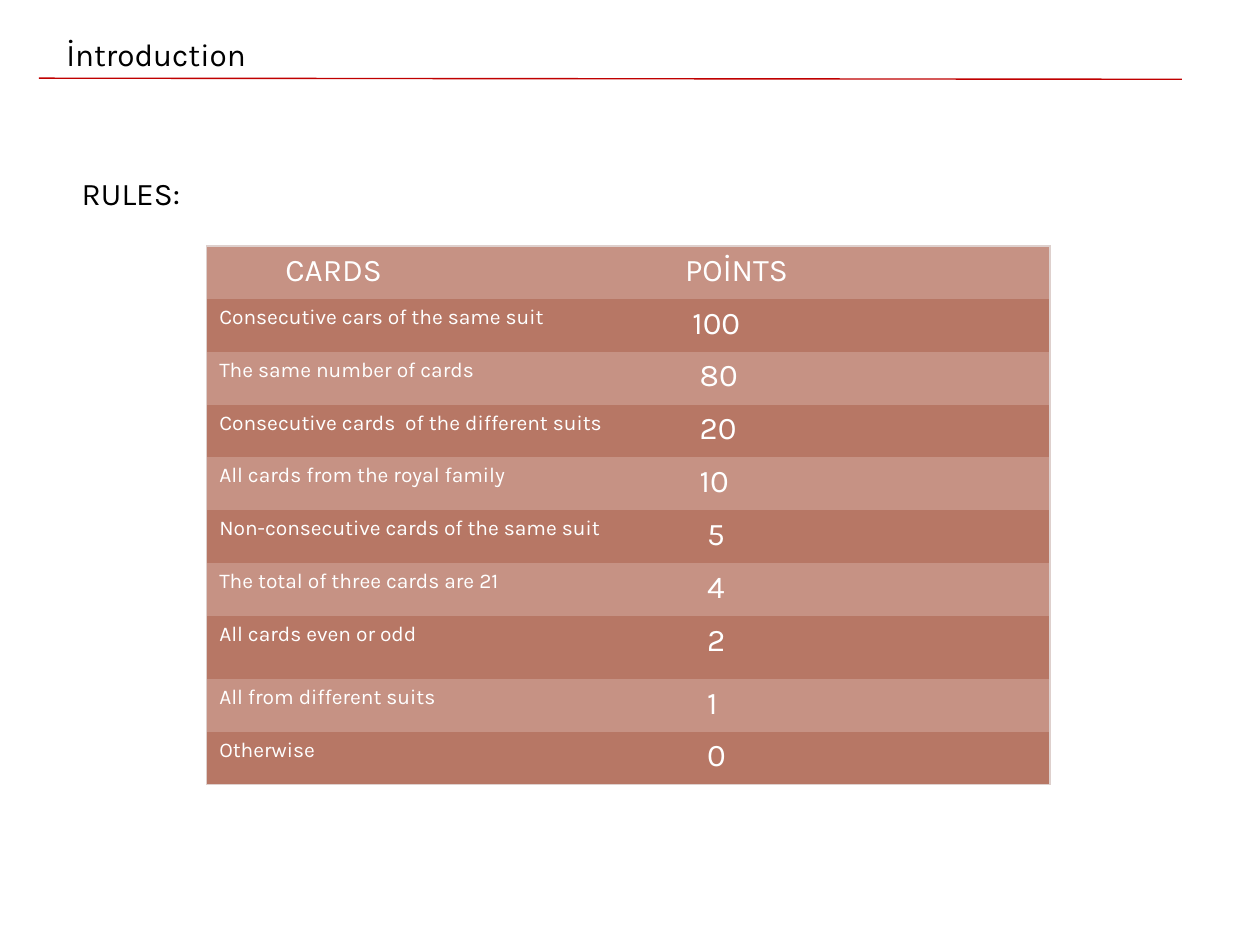
from lxml.etree import SubElement
from pptx import Presentation
from pptx.dml.color import RGBColor
from pptx.enum.shapes import MSO_CONNECTOR
from pptx.enum.text import MSO_ANCHOR, MSO_AUTO_SIZE, PP_ALIGN
from pptx.oxml.ns import qn
from pptx.util import Pt

BLACK = RGBColor(0x00, 0x00, 0x00)
WHITE = RGBColor(0xFF, 0xFF, 0xFF)
RED = RGBColor(0xC0, 0x00, 0x00)
LIGHT_CLAY = RGBColor(0xC6, 0x92, 0x84)
DARK_CLAY = RGBColor(0xB7, 0x77, 0x65)
BORDER = RGBColor(0xDE, 0xD0, 0xCD)

FONT = "Karla"
LARGE, SMALL = 18, 12
LINE_WIDTH = 0.79
INSET = 7.2
DIGIT_STEP = 4.2
ONE_DIGIT_INDENT = 45
NO_TABLE_STYLE = "{2D5ABB26-0587-4C30-8999-92F81FD0307C}"

ROW_HEIGHT, TALL_ROW_HEIGHT = 30.2, 36
TALL_ROW = 7
SCORES = [
    ("Consecutive cars of the same suit", 100),
    ("The same number of cards", 80),
    ("Consecutive cards  of the different suits", 20),
    ("All cards from the royal family", 10),
    ("Non-consecutive cards of the same suit", 5),
    ("The total of three cards are 21", 4),
    ("All cards even or odd", 2),
    ("All from different suits", 1),
    ("Otherwise", 0),
]


class SlideBuilder:
    def __init__(self, slide):
        self.slide = slide

    def set_text(self, text_frame, text, size, color):
        paragraph = text_frame.paragraphs[0]
        paragraph.text = text
        paragraph.alignment = PP_ALIGN.LEFT
        paragraph.font.name = FONT
        paragraph.font.size = Pt(size)
        paragraph.font.color.rgb = color

    def fill_box(self, shape, text, left, top, width, height, indent=INSET):
        shape.left, shape.top = Pt(left), Pt(top)
        shape.width, shape.height = Pt(width), Pt(height)
        frame = shape.text_frame
        frame.word_wrap = True
        frame.auto_size = MSO_AUTO_SIZE.NONE
        frame.vertical_anchor = MSO_ANCHOR.TOP
        frame.margin_left = Pt(indent)
        self.set_text(frame, text, LARGE, BLACK)

    def title(self, text, *box, indent):
        self.fill_box(self.slide.shapes.title, text, *box, indent=indent)

    def text(self, text, *box):
        self.fill_box(self.slide.shapes.add_textbox(0, 0, 0, 0), text, *box)

    def line(self, x1, y1, x2, y2):
        connector = self.slide.shapes.add_connector(
            MSO_CONNECTOR.STRAIGHT, Pt(x1), Pt(y1), Pt(x2), Pt(y2))
        connector.line.color.rgb = RED
        connector.line.width = Pt(LINE_WIDTH)
        SubElement(connector._element.spPr, qn("a:effectLst"))

    def cell(self, cell, text, size, indent, fill, sides):
        self.set_text(cell.text_frame, text, size, WHITE)
        cell.margin_left = Pt(indent)
        properties = cell._tc.get_or_add_tcPr()
        for side in sides:
            border = SubElement(properties, qn(f"a:ln{side}"), w=str(Pt(LINE_WIDTH)))
            solid = SubElement(border, qn("a:solidFill"))
            SubElement(solid, qn("a:srgbClr"), val=str(BORDER))
        cell.fill.solid()
        cell.fill.fore_color.rgb = fill

    def score_table(self, left, top, column_width, headings, scores):
        """Headings are (text, indent) pairs; scores are (rule, points) pairs."""
        rows = [[(text, LARGE, indent) for text, indent in headings]]
        for rule, points in scores:
            digits = str(points)
            indent = ONE_DIGIT_INDENT - DIGIT_STEP * (len(digits) - 1)
            rows.append([(rule, SMALL, INSET), (digits, LARGE, indent)])

        table = self.slide.shapes.add_table(
            len(rows), 2, Pt(left), Pt(top), Pt(2 * column_width),
            Pt(ROW_HEIGHT * len(rows))).table
        table.first_row = table.horz_banding = False
        table._tbl.tblPr.find(qn("a:tableStyleId")).text = NO_TABLE_STYLE
        for column in table.columns:
            column.width = Pt(column_width)
        for row_index, row in enumerate(rows):
            tall = row_index == TALL_ROW
            table.rows[row_index].height = Pt(TALL_ROW_HEIGHT if tall else ROW_HEIGHT)
            fill = DARK_CLAY if row_index % 2 else LIGHT_CLAY
            edge = {0: "T", len(rows) - 1: "B"}.get(row_index, "")
            for column_index, content in enumerate(row):
                self.cell(table.cell(row_index, column_index), *content, fill,
                          "LR"[column_index] + edge)


def main():
    presentation = Presentation()
    presentation.slide_width, presentation.slide_height = Pt(720), Pt(540)
    title_only = presentation.slide_layouts[5]
    builder = SlideBuilder(presentation.slides.add_slide(title_only))
    builder.title("İntroduction", 22.3, 16.6, 624, 29, indent=15.6)
    builder.line(22.3, 44.7, 675.4, 45.3)
    builder.text("RULES:", 39.6, 95.8, 270, 29)
    builder.score_table(118.1, 140.6, 241, [("CARDS", 45), ("POİNTS", 32.4)], SCORES)
    presentation.save("out.pptx")


if __name__ == "__main__":
    main()
